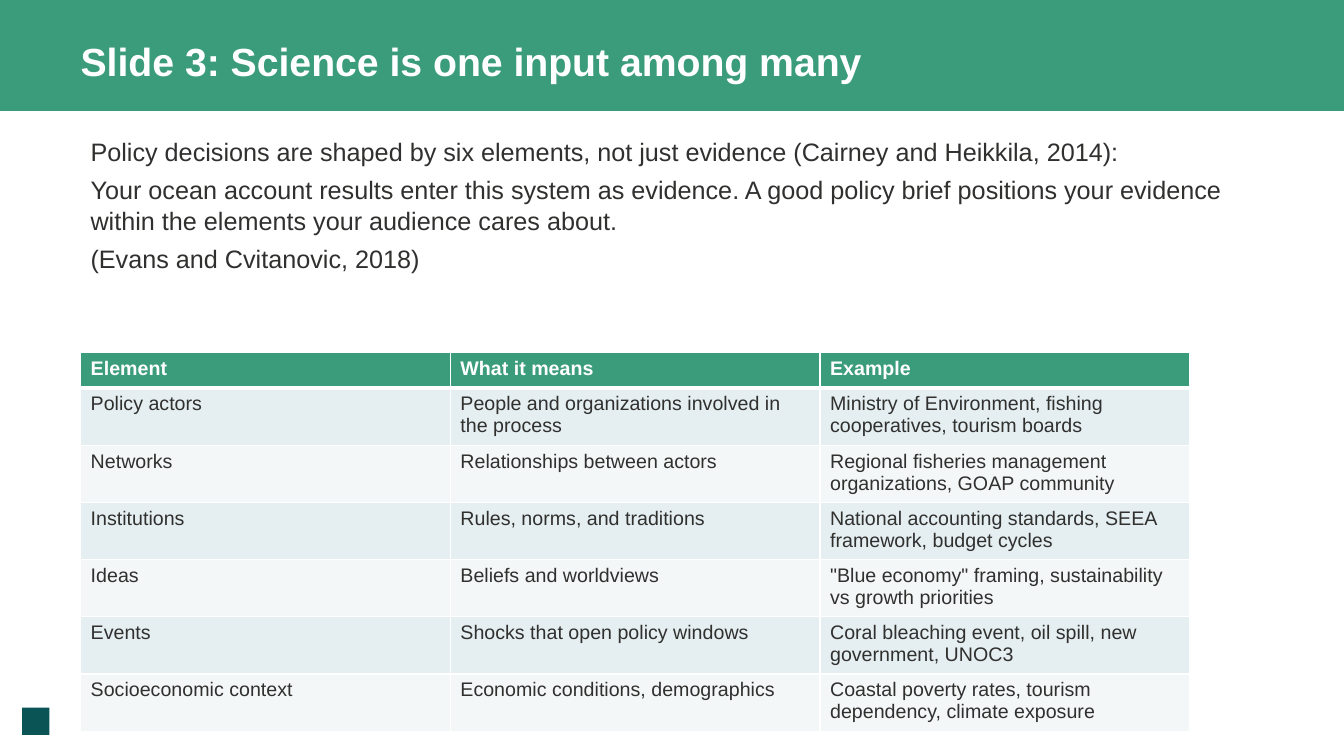
from lxml import etree
from pptx import Presentation
from pptx.dml.color import RGBColor
from pptx.enum.shapes import MSO_SHAPE
from pptx.enum.text import MSO_ANCHOR, PP_ALIGN
from pptx.oxml.ns import qn
from pptx.util import Inches, Pt

RECT = MSO_SHAPE.RECTANGLE
MIDDLE = MSO_ANCHOR.MIDDLE
LEFT = PP_ALIGN.LEFT

FONT = "Arial"
COLORS = {
    "green": "3B9C7B",
    "teal": "0A5455",
    "ink": "30302F",
    "white": "FFFFFF",
    "odd": "E5EEF0",
    "even": "F3F7F7",
}

TITLE = "Slide 3: Science is one input among many"
INTRO = [
    "Policy decisions are shaped by six elements, not just evidence (Cairney and Heikkila, 2014):",
    "Your ocean account results enter this system as evidence. A good policy brief "
    "positions your evidence within the elements your audience cares about.",
    "(Evans and Cvitanovic, 2018)",
]
ROWS = [
    ("Element", "What it means", "Example"),
    ("Policy actors", "People and organizations involved in the process",
     "Ministry of Environment, fishing cooperatives, tourism boards"),
    ("Networks", "Relationships between actors",
     "Regional fisheries management organizations, GOAP community"),
    ("Institutions", "Rules, norms, and traditions",
     "National accounting standards, SEEA framework, budget cycles"),
    ("Ideas", "Beliefs and worldviews",
     '"Blue economy" framing, sustainability vs growth priorities'),
    ("Events", "Shocks that open policy windows",
     "Coral bleaching event, oil spill, new government, UNOC3"),
    ("Socioeconomic context", "Economic conditions, demographics",
     "Coastal poverty rates, tourism dependency, climate exposure"),
]


def rgb(name):
    return RGBColor.from_string(COLORS[name])


class Page:
    """Holds the style and the slide being drawn."""

    def __init__(self, slide):
        self.slide = slide

    def style(self, para, size, color, bold=False):
        para.alignment = LEFT
        for run in para.runs:
            run.font.name = FONT
            run.font.size = Pt(size)
            run.font.bold = bold
            run.font.color.rgb = rgb(color)

    def block(self, x, y, w, h, fill):
        shape = self.slide.shapes.add_shape(
            RECT, Inches(x), Inches(y), Inches(w), Inches(h))
        shape.shadow.inherit = False
        shape.fill.solid()
        shape.fill.fore_color.rgb = rgb(fill)
        shape.line.fill.background()
        return shape

    def banner(self, text):
        frame = self.block(0, 0, 13.33, 1.1, "green").text_frame
        frame.margin_left, frame.margin_top = Inches(0.8), Inches(0.15)
        frame.vertical_anchor = MIDDLE
        frame.word_wrap = True
        frame.text = text
        self.style(frame.paragraphs[0], 28, "white", True)

    def prose(self, x, y, w, h, lines):
        box = self.slide.shapes.add_textbox(
            Inches(x), Inches(y), Inches(w), Inches(h))
        frame = box.text_frame
        frame.word_wrap = True
        frame.text = "\n".join(lines)
        for i, para in enumerate(frame.paragraphs):
            if i:
                para.space_before = Pt(6)
            self.style(para, 18, "ink")

    def border(self, cell, widths):
        """Draw white cell borders; widths maps side tags to points."""
        props = cell._tc.get_or_add_tcPr()
        for i, (side, width) in enumerate(widths.items()):
            line = etree.Element(qn(f"a:{side}"), w=str(Pt(width)))
            fill = etree.SubElement(line, qn("a:solidFill"))
            etree.SubElement(fill, qn("a:srgbClr"), val=COLORS["white"])
            props.insert(i, line)

    def table(self, x, y, w, row_h, rows):
        grid = self.slide.shapes.add_table(
            len(rows), len(rows[0]), Inches(x), Inches(y),
            Inches(w), Inches(row_h * len(rows))).table
        for r, row in enumerate(rows):
            head = r == 0
            fill = "green" if head else "odd" if r % 2 else "even"
            for c, text in enumerate(row):
                cell = grid.cell(r, c)
                cell.text = text
                cell.fill.solid()
                cell.fill.fore_color.rgb = rgb(fill)
                self.style(cell.text_frame.paragraphs[0], 14,
                           "white" if head else "ink", head)
                self.border(cell, {"lnL": 1, "lnR": 1,
                                   "lnT": 3 if r == 1 else 1,
                                   "lnB": 3 if head else 1})


def main():
    deck = Presentation()
    deck.slide_width, deck.slide_height = Inches(13.33), Inches(7.5)
    page = Page(deck.slides.add_slide(deck.slide_layouts[6]))
    page.block(0.22, 7.02, 0.27, 0.27, "teal")
    page.banner(TITLE)
    page.prose(0.8, 1.3, 11.73, 5.5, INTRO)
    page.table(0.8, 3.5, 11, 0.35, ROWS)
    deck.save("out.pptx")


if __name__ == "__main__":
    main()
